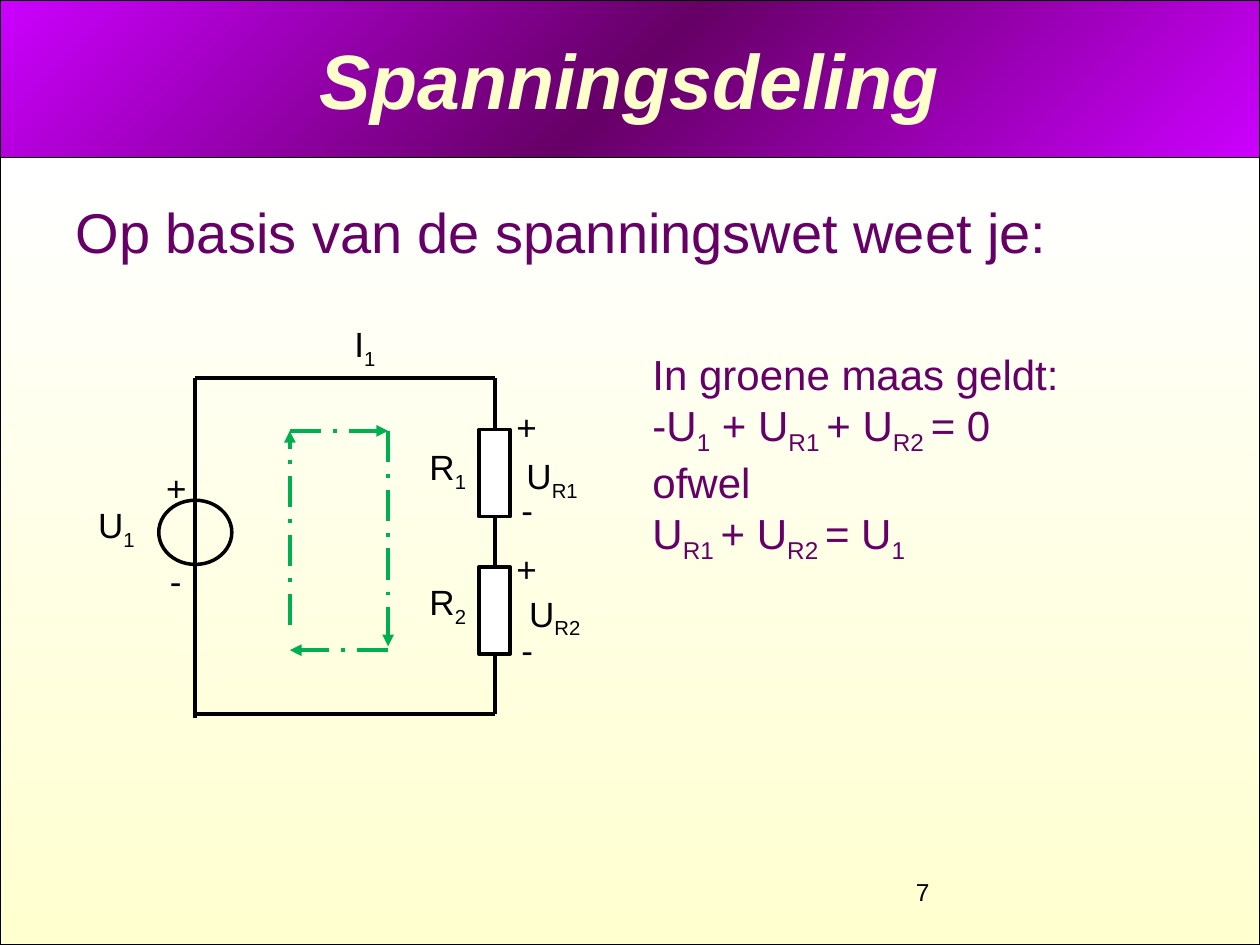
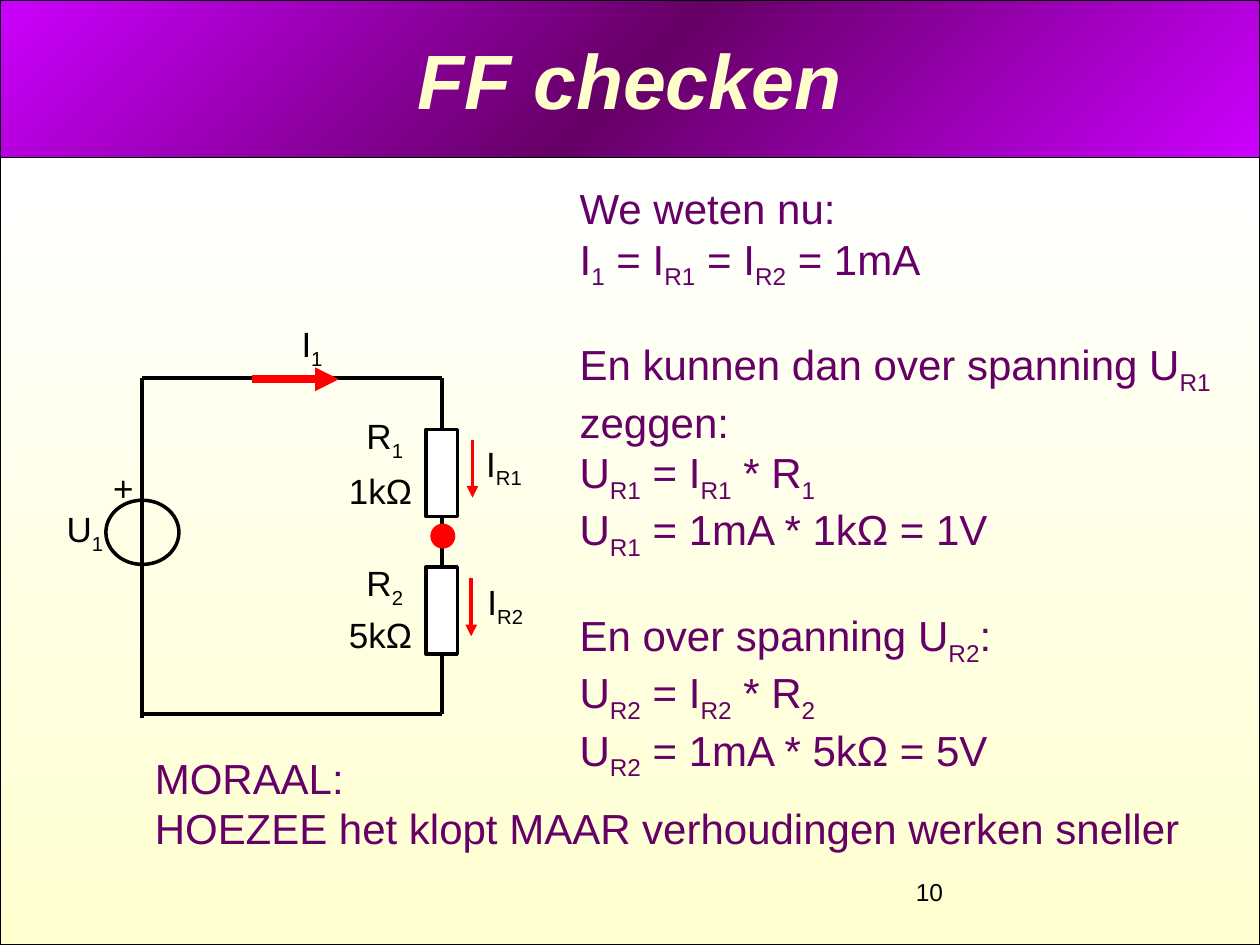
import copy
import dataclasses

import lxml.etree
import pptx
import pptx.dml.color
import pptx.enum.dml
import pptx.enum.shapes
import pptx.enum.text
import pptx.oxml.ns
import pptx.util


@dataclasses.dataclass(frozen=True)
class Theme:
    font: str = "Arial"
    black: str = "000000"
    white: str = "FFFFFF"
    purple: str = "660066"
    violet: str = "CC00FF"
    cream: str = "FFFFCC"
    pale: str = "FFFFCF"
    green: str = "00B050"
    red: str = "FF0000"
    title_size: int = 44
    lead_size: int = 32
    text_size: int = 24
    label_size: int = 20
    number_size: int = 14


theme = Theme()
rgb = pptx.dml.color.RGBColor.from_string
qn = pptx.oxml.ns.qn
shape_type = pptx.enum.shapes.MSO_SHAPE
presentation = pptx.Presentation()
presentation.slide_width = pptx.util.Inches(10)
presentation.slide_height = pptx.util.Inches(7.5)
GRID = presentation.slide_width // 100  # 100 columns by 75 rows of square cells


def write(shape, lines, size, color, wrap=True):
    """Fill a shape with lines; every second part between bars is subscript.

    A line that starts with ">" opens a new block, one line lower.
    """
    frame = shape.text_frame
    frame.word_wrap = wrap
    frame.auto_size = pptx.enum.text.MSO_AUTO_SIZE.NONE
    for index, line in enumerate(lines):
        paragraph = frame.paragraphs[0] if index == 0 else frame.add_paragraph()
        paragraph.font.name = theme.font
        paragraph.font.size = pptx.util.Pt(size)
        paragraph.font.color.rgb = rgb(color)
        paragraph.space_before = pptx.util.Pt(1.15 * size if line.startswith(">") else 0)
        for part, text in enumerate(line.removeprefix(">").split("|")):
            if text:
                run = paragraph.add_run()
                run.text = text
                if part % 2:
                    run.font._element.set("baseline", "-25000")


def connect(slide, ends, color, width, arrow=False, dashed=False):
    """Draw a straight line between two grid points, tip at the second."""
    line = slide.shapes.add_connector(
        pptx.enum.shapes.MSO_CONNECTOR.STRAIGHT, *[round(end * GRID) for end in ends])
    line.line.color.rgb = rgb(color)
    line.line.width = pptx.util.Pt(width)
    if dashed:
        line.line.dash_style = pptx.enum.dml.MSO_LINE.LONG_DASH_DOT
    if arrow:
        lxml.etree.SubElement(line.line._get_or_add_ln(), qn("a:tailEnd"), type="triangle")
    lxml.etree.SubElement(line._element.spPr, qn("a:effectLst"))


# Content of the slides; positions in grid cells
pages = [
    {
        "title": "Spanningsdeling", "number": "7", "circuit_left": 15.5,
        "body": (5, 15.2, 90, 6.6), "body_size": theme.lead_size,
        "body_lines": ["Op basis van de spanningswet weet je:"],
        "note": (50.8, 27.2, 47.5, 22.7),
        "note_lines": ["In groene maas geldt:", "-U|1| + U|R1 |+ U|R2 |= 0",
                       "ofwel", "U|R1 |+ U|R2 |= U|1"],
        # Label, left, top, width
        "labels": [
            ("R|1", 33.1, 34.9, 4.9), ("R|2", 33.1, 45.6, 4.9),
            ("U|1", 6.8, 39.5, 4.9), ("-", 12.5, 43.9, 2.9),
            ("U|R1", 40.8, 35.6, 6.7), ("U|R2", 41, 46.5, 6.1),
            ("+", 40, 31.7, 3.6), ("+", 40, 43, 3.6),
            ("-", 40.4, 38.3, 2.9), ("-", 40.4, 49.4, 2.9),
        ],
        # Ends, colour, width, dashed: the mesh, clockwise
        "arrows": [
            ((23, 34.2, 30.8, 34.2), theme.green, 2.25, True),
            ((30.8, 34.2, 30.8, 51.3), theme.green, 2.25, True),
            ((30.8, 51.6, 23, 51.6), theme.green, 2.25, True),
            ((23, 49.6, 23, 34.2), theme.green, 2.25, True),
        ],
        "nodes": [],
    },
    {
        "title": "FF checken", "number": "10", "circuit_left": 11.3,
        "body": (45, 14, 55, 60), "body_size": theme.text_size,
        "body_lines": ["We weten nu:", "I|1| = I|R1| = I|R2| = 1mA",
                       ">En kunnen dan over spanning U|R1| zeggen:",
                       "U|R1| = I|R1| * R|1", "U|R1| = 1mA * 1kΩ = 1V",
                       ">En over spanning U|R2|:",
                       "U|R2| = I|R2| * R|2", "U|R2| = 1mA * 5kΩ = 5V"],
        "note": (11.3, 59.2, 86.2, 9),
        "note_lines": ["MORAAL:", "HOEZEE het klopt MAAR verhoudingen werken sneller"],
        "labels": [
            ("R|1", 28.1, 32.4, 4.9), ("R|2", 28.1, 44.1, 4.9),
            ("1kΩ", 26.7, 36.8, 7.1), ("5kΩ", 26.7, 48.2, 7.1),
            ("U|1", 4.3, 39.8, 4.9),
            ("I|R1", 37.6, 34.6, 4.8), ("I|R2", 37.7, 45.6, 4.8),
        ],
        "arrows": [
            ((20, 30.1, 26.9, 30.1), theme.red, 4.5, False),
            ((37.5, 34.9, 37.5, 39.5), theme.red, 2.25, False),
            ((37.4, 45.9, 37.4, 50.5), theme.red, 2.25, False),
        ],
        "nodes": [(34.3, 41.7, 1.7, 1.7)],
    },
]
slides = [presentation.slides.add_slide(presentation.slide_layouts[1]) for page in pages]

# Shared bands, moved to the slide master behind its placeholders
bands = [
    ((0, 0, 100, 12.5), 135, [theme.violet, theme.purple, theme.violet]),
    ((0, 12.5, 100, 62.5), 270, [theme.white, theme.pale]),
]
for index, (place, angle, colors) in enumerate(bands):
    band = slides[0].shapes.add_shape(shape_type.RECTANGLE, *[round(v * GRID) for v in place])
    band.shadow.inherit = False
    band.line.color.rgb = rgb(theme.black)
    band.line.width = pptx.util.Pt(0.75)
    band.fill.gradient()
    band.fill.gradient_angle = angle
    stop_list = band.element.spPr.find(".//" + qn("a:gsLst"))
    for extra in colors[2:]:
        stop_list.append(copy.deepcopy(stop_list[0]))
    for step, (stop, color) in enumerate(zip(band.fill.gradient_stops, colors)):
        stop.position = step / (len(colors) - 1)
        stop.color.rgb = rgb(color)
    band.element.nvSpPr.cNvPr.set("id", str(20 + index))
    presentation.slide_master.shapes.element.insert(2 + index, band.element)

for slide, page in zip(slides, pages):
    # Title
    title = slide.shapes.title
    title.left, title.top, title.width, title.height = [
        round(v * GRID) for v in (5, 0, 90, 12.5)]
    write(title, [page["title"]], theme.title_size, theme.cream)
    title.text_frame.vertical_anchor = pptx.enum.text.MSO_ANCHOR.MIDDLE
    heading = title.text_frame.paragraphs[0]
    heading.alignment = pptx.enum.text.PP_ALIGN.CENTER
    heading.font.bold = heading.font.italic = True

    # Body without bullets
    body = slide.placeholders[1]
    body.left, body.top, body.width, body.height = [round(v * GRID) for v in page["body"]]
    write(body, page["body_lines"], page["body_size"], theme.purple)
    for paragraph in body.text_frame.paragraphs:
        properties = paragraph._p.get_or_add_pPr()
        properties.set("marL", "0")
        properties.set("indent", "0")
        bullet = lxml.etree.Element(qn("a:buNone"))
        properties.find(qn("a:defRPr")).addprevious(bullet)

    # Note and slide number
    texts = [
        (page["note"], page["note_lines"], theme.text_size, theme.purple),
        ((71.7, 69.1, 23.3, 3.4), [page["number"]], theme.number_size, theme.black),
    ]
    for place, lines, size, color in texts:
        write(slide.shapes.add_textbox(*[round(v * GRID) for v in place]), lines, size, color)

    # Circuit wires
    left = page["circuit_left"]
    right, top, bottom = left + 23.8, 30, 56.7
    for ends in [(right, top, right, bottom), (left, top, right, top),
                 (left, bottom, right, bottom), (left, bottom + 0.3, left, top)]:
        connect(slide, ends, theme.black, 2.25)

    # Resistors, voltage source and nodes
    parts = [(shape_type.RECTANGLE, (right - 1.3, row, 2.5, 6.9), theme.white, theme.black)
             for row in (34.1, 45)]
    parts.append((shape_type.OVAL, (left - 2.9, 39.7, 5.8, 5.1), None, theme.black))
    parts += [(shape_type.OVAL, node, theme.red, theme.red) for node in page["nodes"]]
    for kind, place, fill, outline in parts:
        part = slide.shapes.add_shape(kind, *[round(v * GRID) for v in place])
        part.shadow.inherit = False
        part.line.color.rgb = rgb(outline)
        part.line.width = pptx.util.Pt(2)
        if fill:
            part.fill.solid()
            part.fill.fore_color.rgb = rgb(fill)
        else:
            part.fill.background()

    # Arrows
    for ends, color, width, dashed in page["arrows"]:
        connect(slide, ends, color, width, arrow=True, dashed=dashed)

    # Labels, the first two at fixed places on the circuit
    common = [("+", left - 3.3, 36.5, 3.6), ("I|1", left + 11.65, 25.1, 3.6)]
    for text, column, row, width in common + page["labels"]:
        place = (column, row, width, 4.8 if "|" in text else 4.4)
        label = slide.shapes.add_textbox(*[round(v * GRID) for v in place])
        write(label, [text], theme.label_size, theme.black, wrap=False)

presentation.save("out.pptx")
